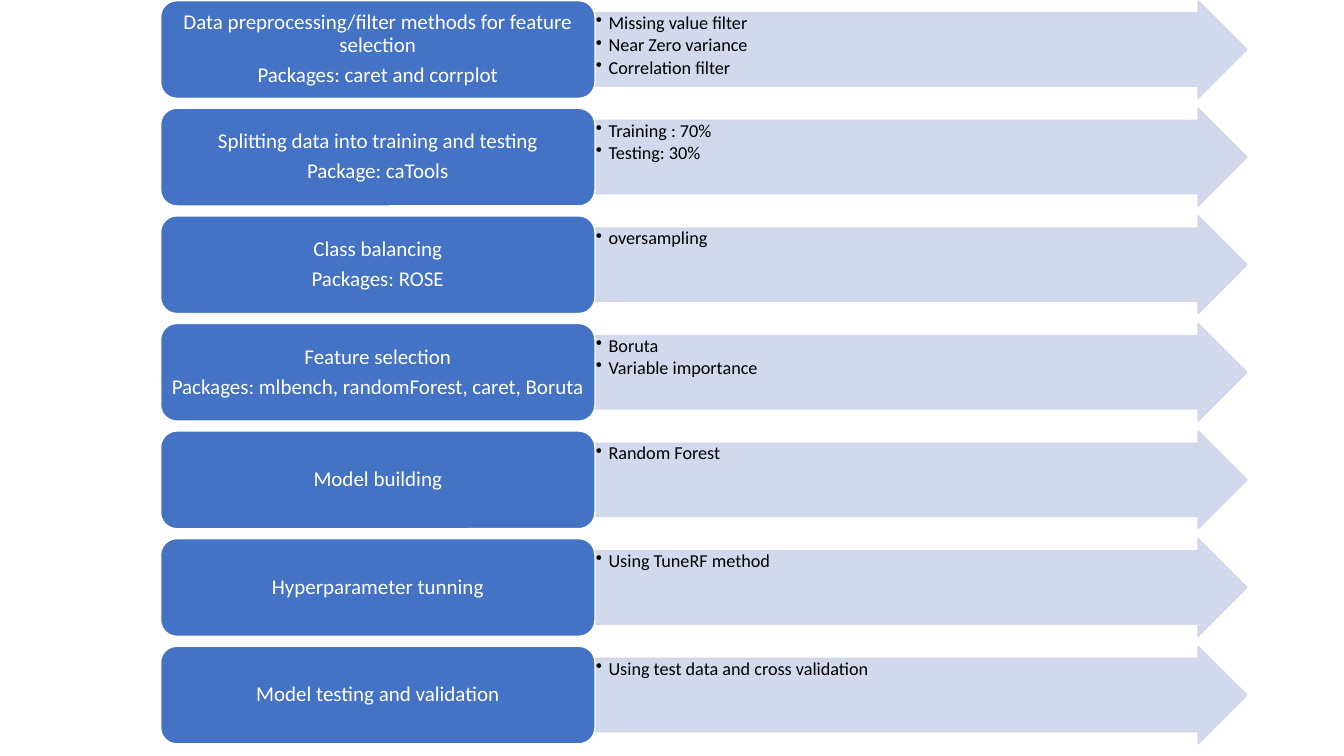
from dataclasses import dataclass

from lxml import etree
from pptx import Presentation
from pptx.dml.color import RGBColor
from pptx.enum.shapes import MSO_SHAPE
from pptx.enum.text import MSO_ANCHOR, PP_ALIGN
from pptx.oxml.ns import qn
from pptx.util import Pt

RIGHT_ARROW = MSO_SHAPE.RIGHT_ARROW
ROUNDED_BOX = MSO_SHAPE.ROUNDED_RECTANGLE
TOP, MIDDLE = MSO_ANCHOR.TOP, MSO_ANCHOR.MIDDLE
LEFT, CENTER = PP_ALIGN.LEFT, PP_ALIGN.CENTER
BLANK_LAYOUT = 6


@dataclass(frozen=True)
class Theme:
    """Colours and type sizes of the slide."""
    font: str = "Calibri"
    step_size: float = 15
    detail_size: float = 13
    step_fill: RGBColor = RGBColor(0x44, 0x72, 0xC4)
    arrow_fill: RGBColor = RGBColor(0xCF, 0xD5, 0xEA)
    white: RGBColor = RGBColor(0xFF, 0xFF, 0xFF)
    black: RGBColor = RGBColor(0, 0, 0)
    arrow_opacity: int = 90


THEME = Theme()

FIRST_TOP, PITCH, ROW_HEIGHT = 0.5, 76.85, 69.8
BOX_LEFT, BOX_WIDTH, ARROW_WIDTH = 114.7, 310.3, 465.7
BULLET_INDENT = 9

STEPS = [
    (["Data preprocessing/filter methods for feature selection",
      "Packages: caret and corrplot"],
     ["Missing value filter", "Near Zero variance", "Correlation filter"]),
    (["Splitting data into training and testing", "Package: caTools"],
     ["Training : 70%", "Testing: 30%"]),
    (["Class balancing", "Packages: ROSE"], ["oversampling"]),
    (["Feature selection", "Packages: mlbench, randomForest, caret, Boruta"],
     ["Boruta", "Variable importance"]),
    (["Model building"], ["Random Forest"]),
    (["Hyperparameter tunning"], ["Using TuneRF method"]),
    (["Model testing and validation"], ["Using test data and cross validation"]),
]


def add_block(slide, kind, left, top, width, fill, line):
    """Add a flat shape one row high, with a 1 pt outline."""
    block = slide.shapes.add_shape(kind, Pt(left), Pt(top), Pt(width), Pt(ROW_HEIGHT))
    block.shadow.inherit = False
    block.fill.solid()
    block.fill.fore_color.rgb = fill
    block.line.color.rgb = line
    block.line.width = Pt(1)
    return block


def set_opacity(shape, percent):
    """Make the fill and the outline of a shape partly transparent."""
    for color in shape.element.spPr.iter(qn("a:srgbClr")):
        etree.SubElement(color, qn("a:alpha"), val=str(percent * 1000))


def add_bullet(para):
    """Give a paragraph a round bullet and a hanging indent."""
    properties = para._p.get_or_add_pPr()
    properties.set("marL", str(Pt(BULLET_INDENT)))
    properties.set("indent", str(-Pt(BULLET_INDENT)))
    etree.SubElement(properties, qn("a:buChar"), char="•")


def write_lines(shape, lines, size, color, align, anchor, margins, gap, bulleted=False):
    """Fill a shape with one paragraph per line."""
    frame = shape.text_frame
    frame.word_wrap = True
    frame.vertical_anchor = anchor
    frame.margin_left = frame.margin_right = Pt(margins[0])
    frame.margin_top = frame.margin_bottom = Pt(margins[1])
    frame.text = "\n".join(lines)
    for para in frame.paragraphs:
        if bulleted:
            add_bullet(para)
        para.alignment = align
        para.line_spacing = 0.9
        para.space_after = Pt(gap)
        para.font.name = THEME.font
        para.font.size = Pt(size)
        para.font.color.rgb = color


def add_detail_arrow(slide, top, details):
    """Add the pale arrow that lists the details of a step."""
    arrow = add_block(slide, RIGHT_ARROW, BOX_LEFT + BOX_WIDTH, top, ARROW_WIDTH,
                      THEME.arrow_fill, THEME.arrow_fill)
    arrow.adjustments[0] = 0.75
    arrow.adjustments[1] = 0.5
    set_opacity(arrow, THEME.arrow_opacity)
    write_lines(arrow, details, THEME.detail_size, THEME.black, LEFT, TOP,
                (0.7, 0.7), 1.8, bulleted=True)


def add_step_box(slide, top, lines):
    """Add the blue box that names a step."""
    box = add_block(slide, ROUNDED_BOX, BOX_LEFT, top, BOX_WIDTH,
                    THEME.step_fill, THEME.white)
    write_lines(box, lines, THEME.step_size, THEME.white, CENTER, MIDDLE,
                (4.25, 2.2), 5.2)


def main():
    """Build the workflow slide and save it."""
    deck = Presentation()
    deck.slide_width, deck.slide_height = Pt(960), Pt(540)
    slide = deck.slides.add_slide(deck.slide_layouts[BLANK_LAYOUT])
    for row, (lines, details) in enumerate(STEPS):
        top = FIRST_TOP + row * PITCH
        add_detail_arrow(slide, top, details)
        add_step_box(slide, top, lines)
    deck.save("out.pptx")


main()
